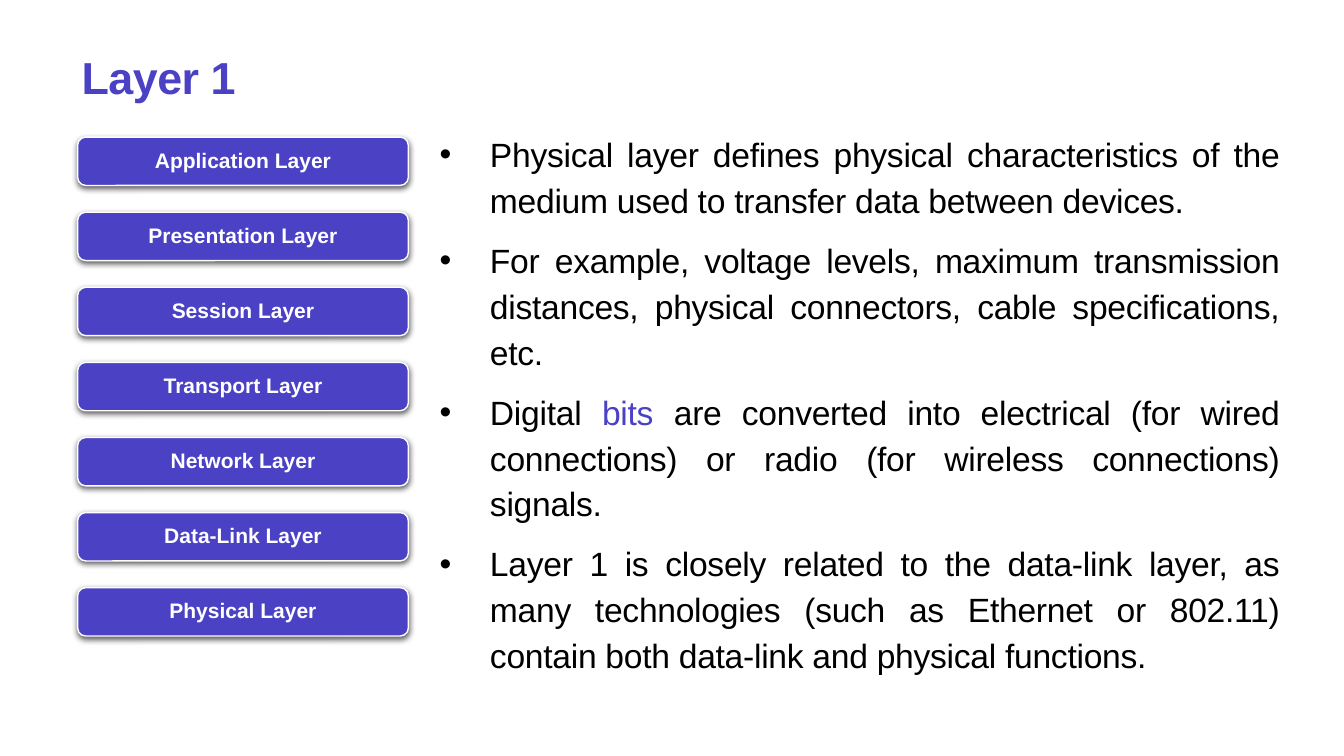
import pptx
import pptx.dml.color
import pptx.enum.shapes
import pptx.enum.text
import pptx.oxml
import pptx.oxml.ns
import pptx.util
from dataclasses import dataclass

TITLE = "Layer 1"
LAYERS = [
    "Application Layer", "Presentation Layer", "Session Layer", "Transport Layer",
    "Network Layer", "Data-Link Layer", "Physical Layer",
]
# Each point is a list of (text, is highlighted) spans.
POINTS = [
    [("Physical layer defines physical characteristics of the medium used to "
      "transfer data between devices.", False)],
    [("For example, voltage levels, maximum transmission distances, physical "
      "connectors, cable specifications, etc.", False)],
    [("Digital ", False), ("bits", True),
     (" are converted into electrical (for wired connections) or radio "
      "(for wireless connections) signals.", False)],
    [("Layer 1 is closely related to the data-link layer, as many technologies "
      "(such as Ethernet or 802.11) contain both data-link and physical "
      "functions.", False)],
]


@dataclass(frozen=True)
class Theme:
    font: str = "Arial"
    accent: str = "4A41C5"
    ink: str = "000000"
    paper: str = "FFFFFF"
    title_size: int = 32
    body_size: int = 24
    label_size: int = 15


THEME = Theme()
PAGE_WIDTH, PAGE_HEIGHT = 13.33, 7.5
TITLE_BOX = (0.71, 0.5, 4.51, 0.58)
BODY_BOX = (4.26, 1.22, 8.53, 5.41)
STACK_LEFT, STACK_TOP = 0.77, 1.36
LAYER_WIDTH, LAYER_HEIGHT, LAYER_PITCH = 3.28, 0.48, 0.745
INDENT = 0.5

Align = pptx.enum.text.PP_ALIGN
Anchor = pptx.enum.text.MSO_ANCHOR
Inches = pptx.util.Inches


def color(code):
    return pptx.dml.color.RGBColor.from_string(code)


def place(shape, left, top, width, height):
    shape.left, shape.top = Inches(left), Inches(top)
    shape.width, shape.height = Inches(width), Inches(height)


def prepare_frame(shape, anchor):
    frame = shape.text_frame
    frame.word_wrap = True
    frame.auto_size = pptx.enum.text.MSO_AUTO_SIZE.NONE
    frame.vertical_anchor = anchor
    return frame


def format_para(para, align, line_spacing, before=0):
    para.alignment = align
    para.line_spacing = line_spacing
    para.space_before = pptx.util.Pt(before)
    para.space_after = pptx.util.Pt(0)


def add_span(para, text, *, size, ink, bold=False, tracking=0):
    """Append a run; tracking is the letter spacing in points."""
    span = para.add_run()
    span.text = text
    span.font.name = THEME.font
    span.font.size = pptx.util.Pt(size)
    span.font.bold = bold
    span.font.color.rgb = color(ink)
    if tracking:
        span.font._element.set("spc", str(round(tracking * 100)))


def add_bullet(para):
    properties = para._p.get_or_add_pPr()
    properties.set("marL", str(Inches(INDENT)))
    properties.set("indent", str(-Inches(INDENT)))
    namespace = pptx.oxml.ns.nsdecls("a")
    for tag in (f'buFont {namespace} typeface="{THEME.font}"',
                f'buChar {namespace} char="•"'):
        properties.append(pptx.oxml.parse_xml(f"<a:{tag}/>"))


def add_soft_shadow(shape):
    shape.shadow.inherit = False
    effects = shape._element.spPr.find(pptx.oxml.ns.qn("a:effectLst"))
    effects.append(pptx.oxml.parse_xml(
        f'<a:outerShdw {pptx.oxml.ns.nsdecls("a")} blurRad="57150" dist="19050" '
        'dir="5400000" algn="ctr" rotWithShape="0">'
        f'<a:srgbClr val="{THEME.ink}"><a:alpha val="63000"/></a:srgbClr>'
        '</a:outerShdw>'))


def fill_title(shape):
    place(shape, *TITLE_BOX)
    para = prepare_frame(shape, Anchor.BOTTOM).paragraphs[0]
    format_para(para, Align.LEFT, 0.9)
    add_span(para, TITLE, size=THEME.title_size, ink=THEME.accent, bold=True,
             tracking=-0.4)


def fill_body(shape):
    place(shape, *BODY_BOX)
    frame = prepare_frame(shape, Anchor.TOP)
    for index, point in enumerate(POINTS):
        para = frame.add_paragraph() if index else frame.paragraphs[0]
        add_bullet(para)
        format_para(para, Align.JUSTIFY, 1.14, before=10 if index else 0)
        for text, highlighted in point:
            add_span(para, text, size=THEME.body_size, tracking=-0.2,
                     ink=THEME.accent if highlighted else THEME.ink)


def add_layer(page, row, name):
    bar = page.shapes.add_shape(
        pptx.enum.shapes.MSO_SHAPE.ROUNDED_RECTANGLE,
        Inches(STACK_LEFT), Inches(STACK_TOP + row * LAYER_PITCH),
        Inches(LAYER_WIDTH), Inches(LAYER_HEIGHT))
    bar.fill.solid()
    bar.fill.fore_color.rgb = color(THEME.accent)
    bar.line.color.rgb = color(THEME.paper)
    bar.line.width = pptx.util.Pt(1)
    add_soft_shadow(bar)
    frame = prepare_frame(bar, Anchor.MIDDLE)
    frame.margin_top = frame.margin_bottom = 0
    para = frame.paragraphs[0]
    format_para(para, Align.CENTER, 0.9)
    add_span(para, name, size=THEME.label_size, ink=THEME.paper, bold=True)


def main():
    deck = pptx.Presentation()
    deck.slide_width, deck.slide_height = Inches(PAGE_WIDTH), Inches(PAGE_HEIGHT)
    page = deck.slides.add_slide(deck.slide_layouts[1])
    fill_title(page.shapes.title)
    for row, name in enumerate(LAYERS):
        add_layer(page, row, name)
    fill_body(page.placeholders[1])
    deck.save("out.pptx")


if __name__ == "__main__":
    main()
